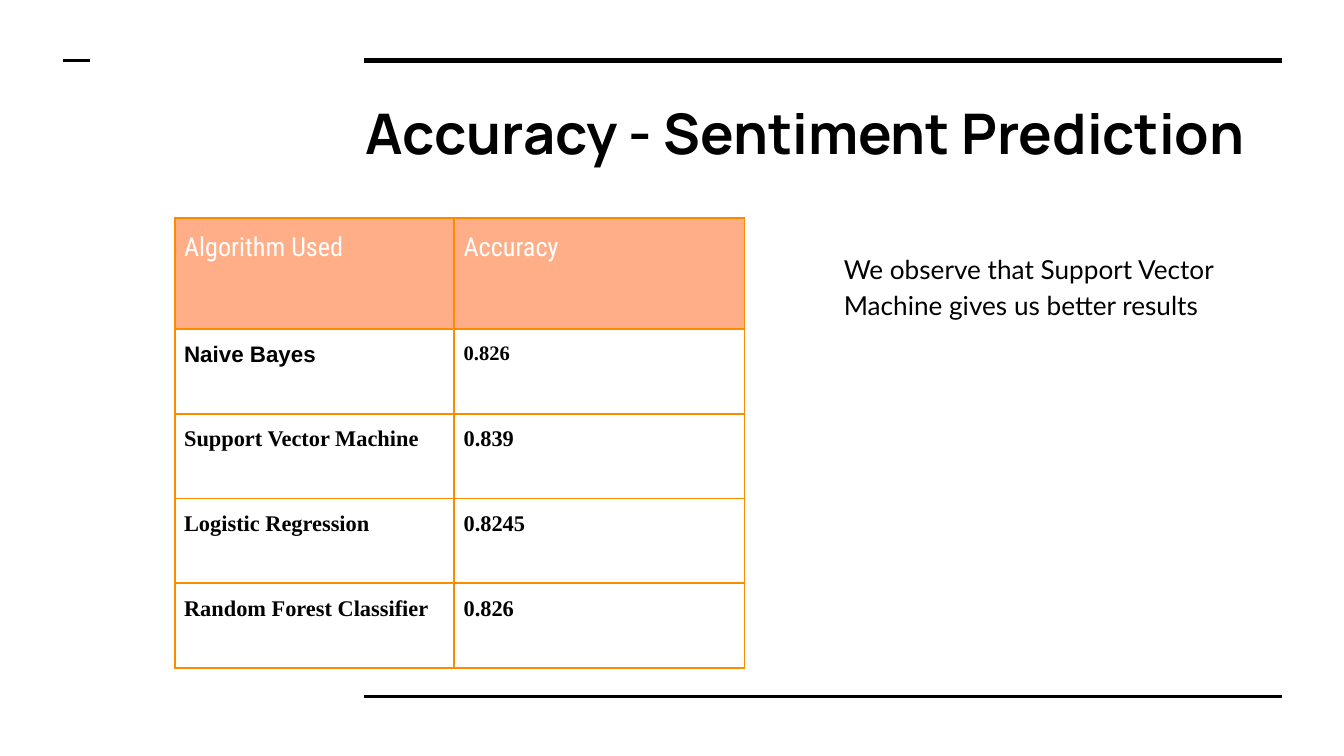
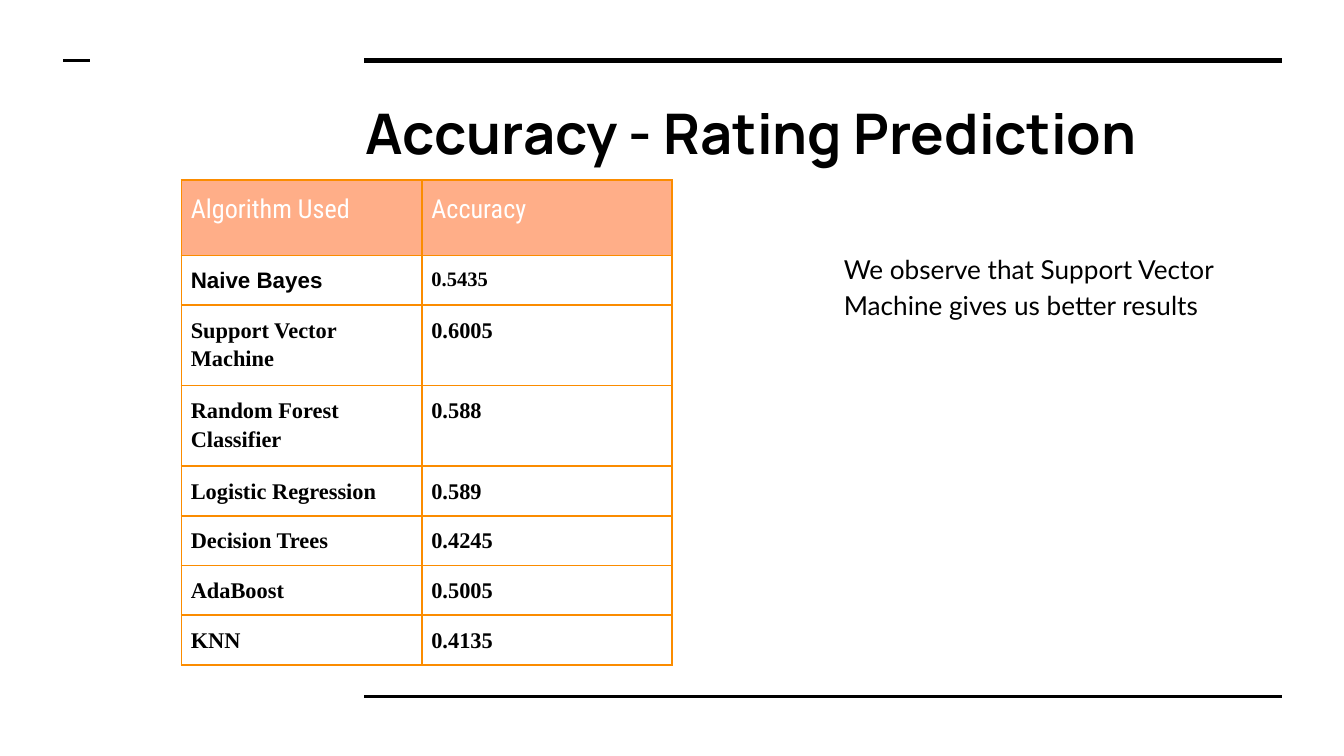
from lxml import etree
from pptx import Presentation
from pptx.dml.color import RGBColor
from pptx.enum import shapes, text
from pptx.oxml import ns
from pptx.util import Inches, Pt

BLACK, WHITE, PEACH, ORANGE = "000000", "FFFFFF", "FFAE88", "FB8C00"
TITLE_BOX = (2.62, 0.63, 6.91, 0.69)
NOTE_BOX = (6.18, 1.75, 3.36, 3.28)
TABLE_SIDE = 3.28
# Frame rules: left, right, y, weight
RULES = [(2.71, 9.54, 0.45, 3), (2.71, 9.54, 5.18, 1.5), (0.47, 0.67, 0.45, 1.5)]

HEADER = ("Algorithm Used", "Accuracy")
NOTE = "We observe that Support Vector Machine gives us better results"
SENTIMENT = [
    ("Naive Bayes", "0.826"),
    ("Support Vector Machine", "0.839"),
    ("Logistic Regression", "0.8245"),
    ("Random Forest Classifier", "0.826"),
]
RATING = [
    ("Naive Bayes", "0.5435"),
    ("Support Vector Machine", "0.6005"),
    ("Random Forest Classifier", "0.588"),
    ("Logistic Regression", "0.589"),
    ("Decision Trees", "0.4245"),
    ("AdaBoost", "0.5005"),
    ("KNN", "0.4135"),
]


def rgb(value):
    return RGBColor.from_string(value)


def write(tf, content, font, size, color=BLACK, bold=False, spacing=1.0):
    tf.text = content
    p = tf.paragraphs[0]
    p.alignment = text.PP_ALIGN.LEFT
    p.line_spacing = spacing
    f = p.runs[0].font
    f.name, f.size, f.bold = font, Pt(size), bold
    f.color.rgb = rgb(color)
    return p


def add_text(s, box, content, font, size, **style):
    tf = s.shapes.add_textbox(*map(Inches, box)).text_frame
    tf.word_wrap = True
    tf.vertical_anchor = text.MSO_ANCHOR.TOP
    tf.margin_left = tf.margin_right = Inches(0.1)
    tf.margin_top = tf.margin_bottom = Inches(0.1)
    return write(tf, content, font, size, **style)


def add_frame(s):
    for left, right, y, weight in RULES:
        line = s.shapes.add_connector(
            shapes.MSO_CONNECTOR.STRAIGHT,
            Inches(left), Inches(y), Inches(right), Inches(y))
        line.line.color.rgb = rgb(BLACK)
        line.line.width = Pt(weight)
        etree.SubElement(line._element.spPr, ns.qn("a:effectLst"))


def set_borders(cell, color, weight):
    tcPr = cell._tc.get_or_add_tcPr()
    for i, side in enumerate(("lnL", "lnR", "lnT", "lnB")):
        ln = etree.Element(ns.qn(f"a:{side}"), w=str(Pt(weight)))
        fill = etree.SubElement(ln, ns.qn("a:solidFill"))
        etree.SubElement(fill, ns.qn("a:srgbClr"), val=color)
        tcPr.insert(i, ln)


def cell_style(row, col):
    if row == 0:
        return dict(font="Roboto Condensed", size=14, color=WHITE)
    if row == 1:
        font, size = (("Arial", 12), ("Times New Roman", 11))[col]
        return dict(font=font, size=size, bold=True)
    return dict(font="Times New Roman", size=12, bold=True)


def add_scores(s, left, top, widths, heights, scores):
    rows = [HEADER] + scores
    frame = s.shapes.add_table(
        len(rows), len(widths), Inches(left), Inches(top),
        Inches(TABLE_SIDE), Inches(TABLE_SIDE))
    table = frame.table
    table.first_row = table.horz_banding = False
    for column, width in zip(table.columns, widths):
        column.width = Inches(width)
    for i, (values, height) in enumerate(zip(rows, heights)):
        table.rows[i].height = Inches(height)
        for j, value in enumerate(values):
            cell = table.cell(i, j)
            cell.margin_left = cell.margin_right = Inches(0.07)
            cell.margin_top = cell.margin_bottom = Inches(0.07)
            p = write(cell.text_frame, value, spacing=1.15, **cell_style(i, j))
            if i == 0:
                p.space_before = Pt(18)
                cell.fill.solid()
                cell.fill.fore_color.rgb = rgb(PEACH)
            else:
                cell.fill.background()
            set_borders(cell, ORANGE, 1)
    # Setting rows and columns resizes the frame; keep it square
    frame.width = frame.height = Inches(TABLE_SIDE)


def accuracy_slide(prs, title, left, top, widths, heights, scores):
    s = prs.slides.add_slide(prs.slide_layouts[6])
    s.background.fill.solid()
    s.background.fill.fore_color.rgb = rgb(WHITE)
    add_frame(s)
    add_text(s, TITLE_BOX, title, "Manrope", 30, bold=True)
    add_scores(s, left, top, widths, heights, scores)
    note = add_text(s, NOTE_BOX, NOTE, "Lato", 14, spacing=1.15)
    note.space_after = Pt(16)


def main():
    prs = Presentation()
    # Widescreen, 16:9
    prs.slide_width = Inches(10)
    prs.slide_height = prs.slide_width * 9 // 16
    accuracy_slide(prs, "Accuracy - Sentiment Prediction", 1.3, 1.62,
                   (2.08, 2.16), [0.83] + [0.63] * 4, SENTIMENT)
    # Two-line algorithm names get taller rows
    accuracy_slide(prs, "Accuracy - Rating Prediction", 1.35, 1.34,
                   (1.79, 1.86), [0.56, 0.36] + [0.51] * 2 + [0.36] * 4, RATING)
    prs.save("out.pptx")


if __name__ == "__main__":
    main()
